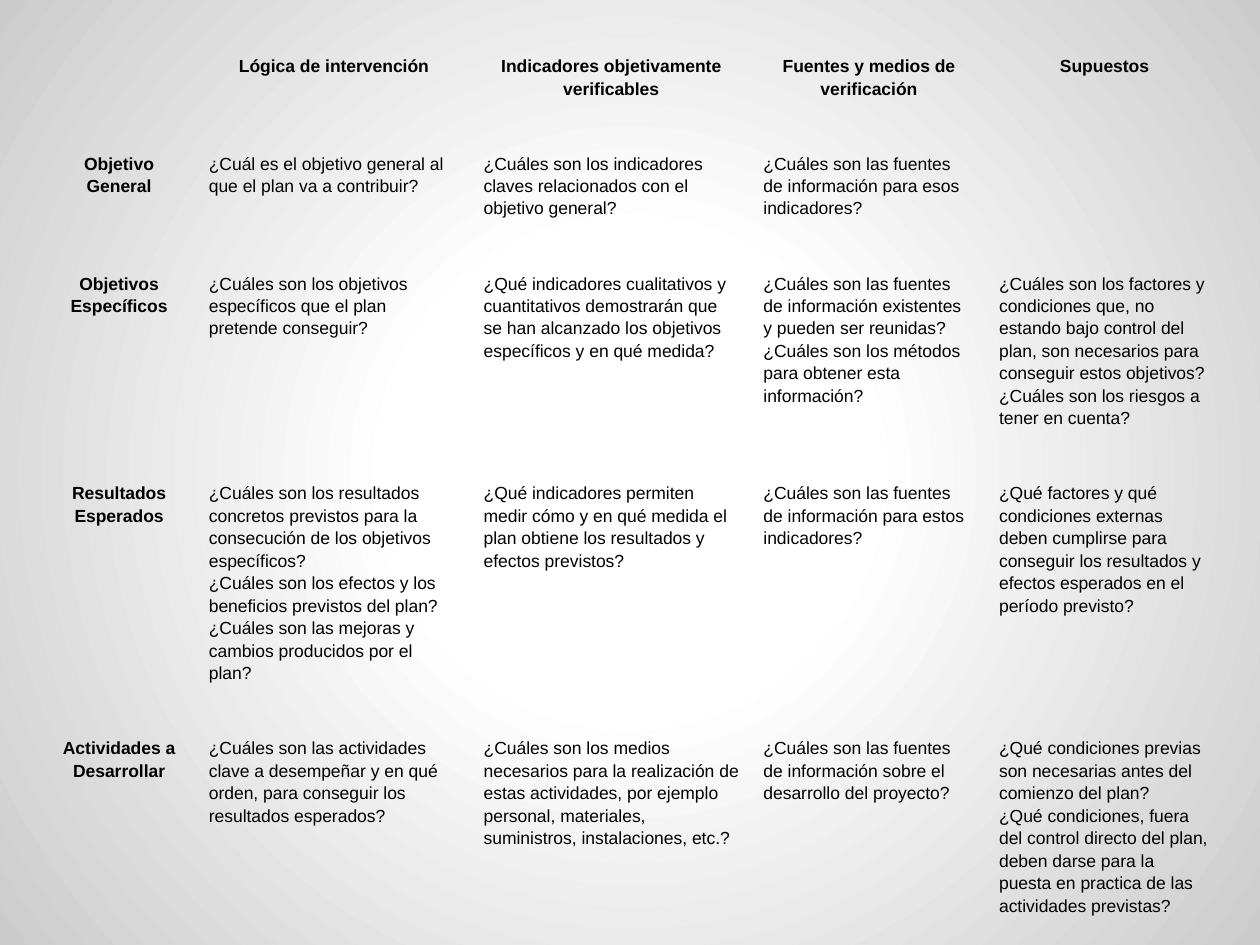
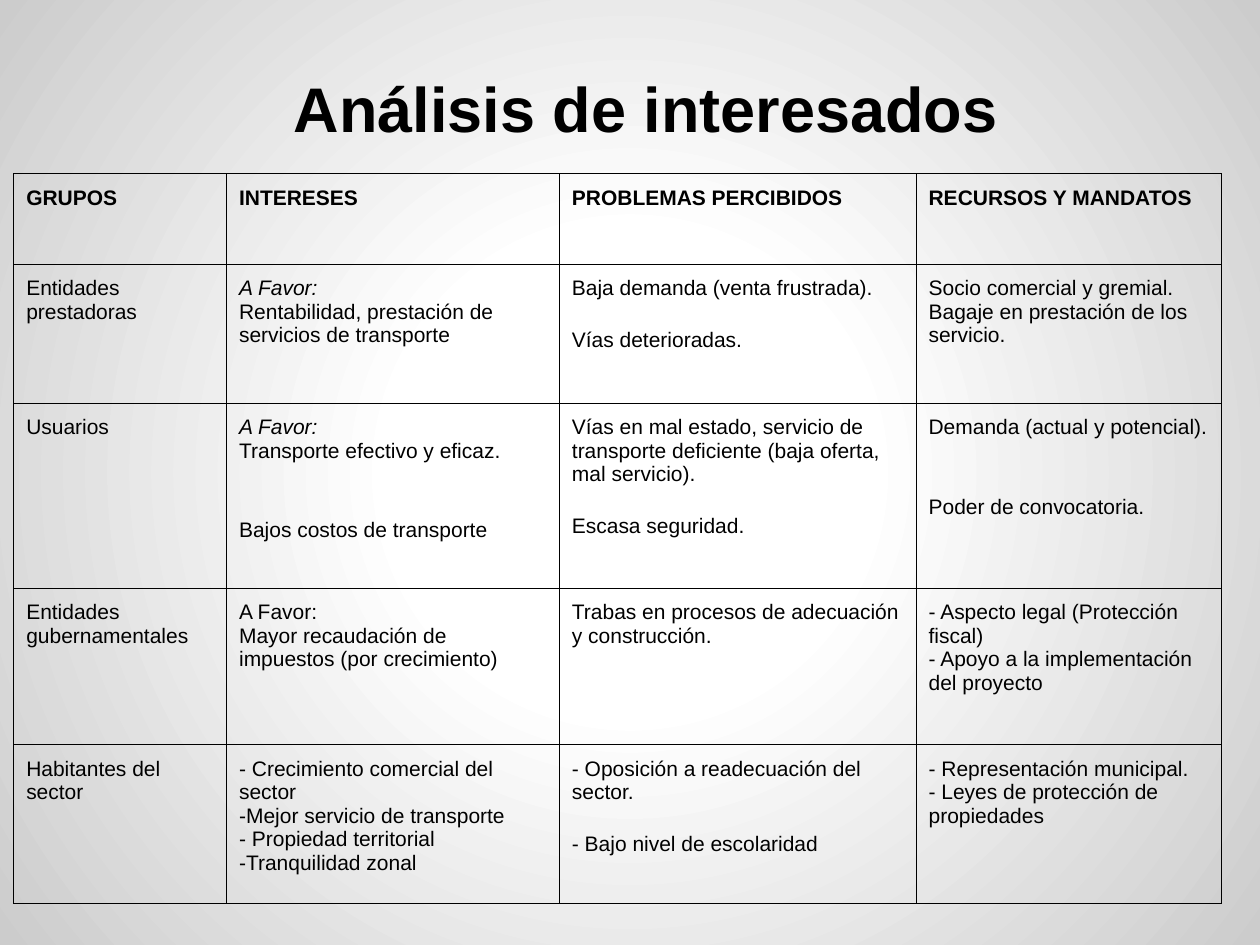
from lxml import etree
from pptx import Presentation
from pptx.dml.color import RGBColor
from pptx.enum.text import MSO_ANCHOR, PP_ALIGN
from pptx.oxml.ns import qn
from pptx.util import Cm, Pt

CENTER, LEFT = PP_ALIGN.CENTER, PP_ALIGN.LEFT
BOTTOM = MSO_ANCHOR.BOTTOM

# Shared look
FONT = "Arial"
BLACK, WHITE, GRAY = "000000", "FFFFFF", "CCCCCC"
STOPS = [(0, WHITE), (30, WHITE), (100, GRAY)]
INSET = Cm(0.25)
GAP = 16  # points of space for each blank line
PLAIN = "{2D5ABB26-0587-4C30-8999-92F81FD0307C}"  # no style, no grid

# Logical framework: one list per row, first entry is the row label
FRAME = [
    ["", "Lógica de intervención", "Indicadores objetivamente verificables",
     "Fuentes y medios de verificación", "Supuestos"],
    ["Objetivo\nGeneral",
     "¿Cuál es el objetivo general al que el plan va a contribuir?",
     "¿Cuáles son los indicadores claves relacionados con el objetivo general?",
     "¿Cuáles son las fuentes de información para esos indicadores?",
     ""],
    ["Objetivos\nEspecíficos",
     "¿Cuáles son los objetivos específicos que el plan pretende conseguir?",
     "¿Qué indicadores cualitativos y cuantitativos demostrarán que se han "
     "alcanzado los objetivos específicos y en qué medida?",
     "¿Cuáles son las fuentes de información existentes y pueden ser "
     "reunidas? ¿Cuáles son los métodos para obtener esta información?",
     "¿Cuáles son los factores y condiciones que, no estando bajo control "
     "del plan, son necesarios para conseguir estos objetivos? ¿Cuáles son "
     "los riesgos a tener en cuenta?"],
    ["Resultados\nEsperados",
     "¿Cuáles son los resultados concretos previstos para la consecución de "
     "los objetivos específicos?\n"
     "¿Cuáles son los efectos y los beneficios previstos del plan?\n"
     "¿Cuáles son las mejoras y cambios producidos por el plan?",
     "¿Qué indicadores permiten medir cómo y en qué medida el plan obtiene "
     "los resultados y efectos previstos?",
     "¿Cuáles son las fuentes de información para estos indicadores?",
     "¿Qué factores y qué condiciones externas deben cumplirse para "
     "conseguir los resultados y efectos esperados en el período previsto?"],
    ["Actividades a\nDesarrollar",
     "¿Cuáles son las actividades clave a desempeñar y en qué orden, para "
     "conseguir los resultados esperados?",
     "¿Cuáles son los medios necesarios para la realización de estas "
     "actividades, por ejemplo personal, materiales, suministros, "
     "instalaciones, etc.?",
     "¿Cuáles son las fuentes de información sobre el desarrollo del "
     "proyecto?",
     "¿Qué condiciones previas son necesarias antes del comienzo del plan?\n"
     "¿Qué condiciones, fuera del control directo del plan, deben darse para "
     "la puesta en practica de las actividades previstas?"],
]

# Stakeholders: a blank line in a cell becomes paragraph spacing
GROUPS = [
    ["GRUPOS", "INTERESES", "PROBLEMAS PERCIBIDOS", "RECURSOS Y MANDATOS"],
    ["Entidades prestadoras",
     "A Favor:\nRentabilidad, prestación de servicios de transporte",
     "Baja demanda (venta frustrada).\n\nVías deterioradas.",
     "Socio comercial y gremial.\nBagaje en prestación de los servicio."],
    ["Usuarios",
     "A Favor:\nTransporte efectivo y eficaz.\n\n\nBajos costos de transporte",
     "Vías en mal estado, servicio de transporte deficiente (baja oferta, "
     "mal servicio).\n\nEscasa seguridad.",
     "Demanda (actual y potencial).\n\n\nPoder de convocatoria."],
    ["Entidades gubernamentales",
     "A Favor:\nMayor recaudación de impuestos (por crecimiento)",
     "Trabas en procesos de adecuación y construcción.",
     "- Aspecto legal (Protección fiscal)\n"
     "- Apoyo a la implementación del proyecto"],
    ["Habitantes del sector",
     "- Crecimiento comercial del sector\n-Mejor servicio de transporte\n"
     "- Propiedad territorial\n-Tranquilidad zonal",
     "- Oposición a readecuación del sector.\n\n- Bajo nivel de escolaridad",
     "- Representación municipal.\n- Leyes de protección de propiedades"],
]


def color(text):
    return RGBColor.from_string(text)


def add_sub(parent, tag, **attrs):
    node = etree.SubElement(parent, qn(tag))
    for key, value in attrs.items():
        node.set(key, str(value))
    return node


def set_back(master):
    """Radial gradient that every slide inherits."""
    master.background.fill.gradient()
    grad = master.element.find(".//" + qn("a:gradFill"))
    for child in list(grad):
        grad.remove(child)
    stops = add_sub(grad, "a:gsLst")
    for pos, tone in STOPS:
        stop = add_sub(stops, "a:gs", pos=pos * 1000)
        add_sub(stop, "a:srgbClr", val=tone)
    ring = add_sub(grad, "a:path", path="circle")
    add_sub(ring, "a:fillToRect", l=50000, t=50000, r=50000, b=50000)


def set_text(frame, text, size, bold=False, align=LEFT, lead=None):
    """Fill a frame; blank lines turn into space before the next one."""
    lines, gaps, gap = [], [], 0
    for line in text.split("\n"):
        if line:
            lines.append(line)
            gaps.append(gap)
            gap = 0
        else:
            gap += GAP
    frame.text = "\n".join(lines)
    for par, space in zip(frame.paragraphs, gaps):
        par.alignment = align
        par.space_before = Pt(space)
        if lead:
            par.line_spacing = lead
        for run in par.runs:
            run.font.name = FONT
            run.font.size = Pt(size)
            run.font.bold = bold
            run.font.color.rgb = color(BLACK)


def set_edges(cell, width):
    """Draw the four cell borders, or hide them when width is 0."""
    props = cell._tc.get_or_add_tcPr()
    for side in "LRTB":
        edge = add_sub(props, "a:ln" + side, w=Pt(width))
        if width:
            fill = add_sub(edge, "a:solidFill")
            add_sub(fill, "a:srgbClr", val=BLACK)
        else:
            add_sub(edge, "a:noFill")


def add_grid(slide, data, left, top, widths, heights, size,
             edge=0, lead=None, labels=False):
    """Table with a bold head; labels makes column one bold, all centred."""
    grid = slide.shapes.add_table(
        len(heights), len(widths), Cm(left), Cm(top),
        Cm(sum(widths)), Cm(sum(heights))).table
    grid.first_row = grid.horz_banding = False
    grid._tbl.tblPr.find(qn("a:tableStyleId")).text = PLAIN
    for col, width in zip(grid.columns, widths):
        col.width = Cm(width)
    for row, height in zip(grid.rows, heights):
        row.height = Cm(height)
    for r, texts in enumerate(data):
        for c, text in enumerate(texts):
            cell = grid.cell(r, c)
            cell.margin_left = cell.margin_right = INSET
            cell.margin_top = cell.margin_bottom = INSET
            set_edges(cell, edge)
            cell.fill.background()
            head = r == 0 or (labels and c == 0)
            align = CENTER if labels and head else LEFT
            set_text(cell.text_frame, text, size, head, align, lead)
    return grid


def add_title(slide, text):
    box = slide.shapes.add_textbox(Cm(1.27), Cm(0.91), Cm(22.86), Cm(2.26))
    frame = box.text_frame
    frame.word_wrap = True
    frame.vertical_anchor = BOTTOM
    frame.margin_left = frame.margin_right = INSET
    frame.margin_top = frame.margin_bottom = INSET
    set_text(frame, text, 36, True, CENTER)
    props = frame.paragraphs[0]._p.get_or_add_pPr()
    props.set("indent", str(Cm(0.64)))


def main():
    prs = Presentation()
    prs.slide_width, prs.slide_height = Cm(25.4), Cm(19.05)
    set_back(prs.slide_master)
    blank = prs.slide_layouts[6]

    # Logical framework matrix
    slide = prs.slides.add_slide(blank)
    add_grid(slide, FRAME, 0.84, 0.84, [3.12, 5.54, 5.64, 4.75, 4.75],
             [1.96, 2.42, 4.23, 5.14, 4.47], 10, lead=1.15, labels=True)

    # Stakeholder analysis
    slide = prs.slides.add_slide(blank)
    add_title(slide, "Análisis de interesados")
    grid = add_grid(slide, GROUPS, 0.28, 3.5, [4.29, 6.71, 7.19, 6.15],
                    [1.83, 2.8, 3.73, 3.15, 3.2], 12, edge=0.75)
    for row in (1, 2):
        lead = grid.cell(row, 1).text_frame.paragraphs[0]
        lead.runs[0].font.italic = True

    prs.save("out.pptx")


main()
